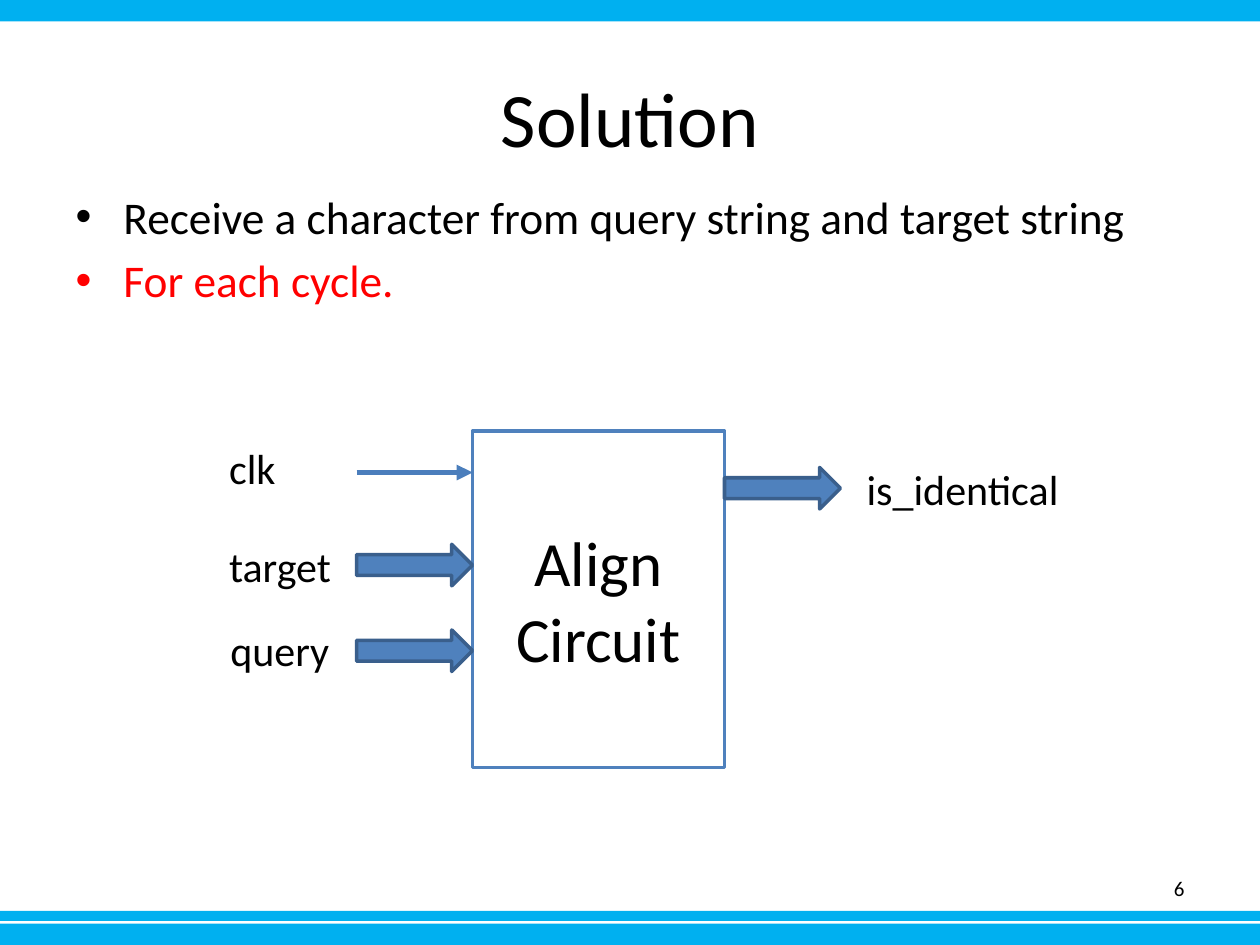
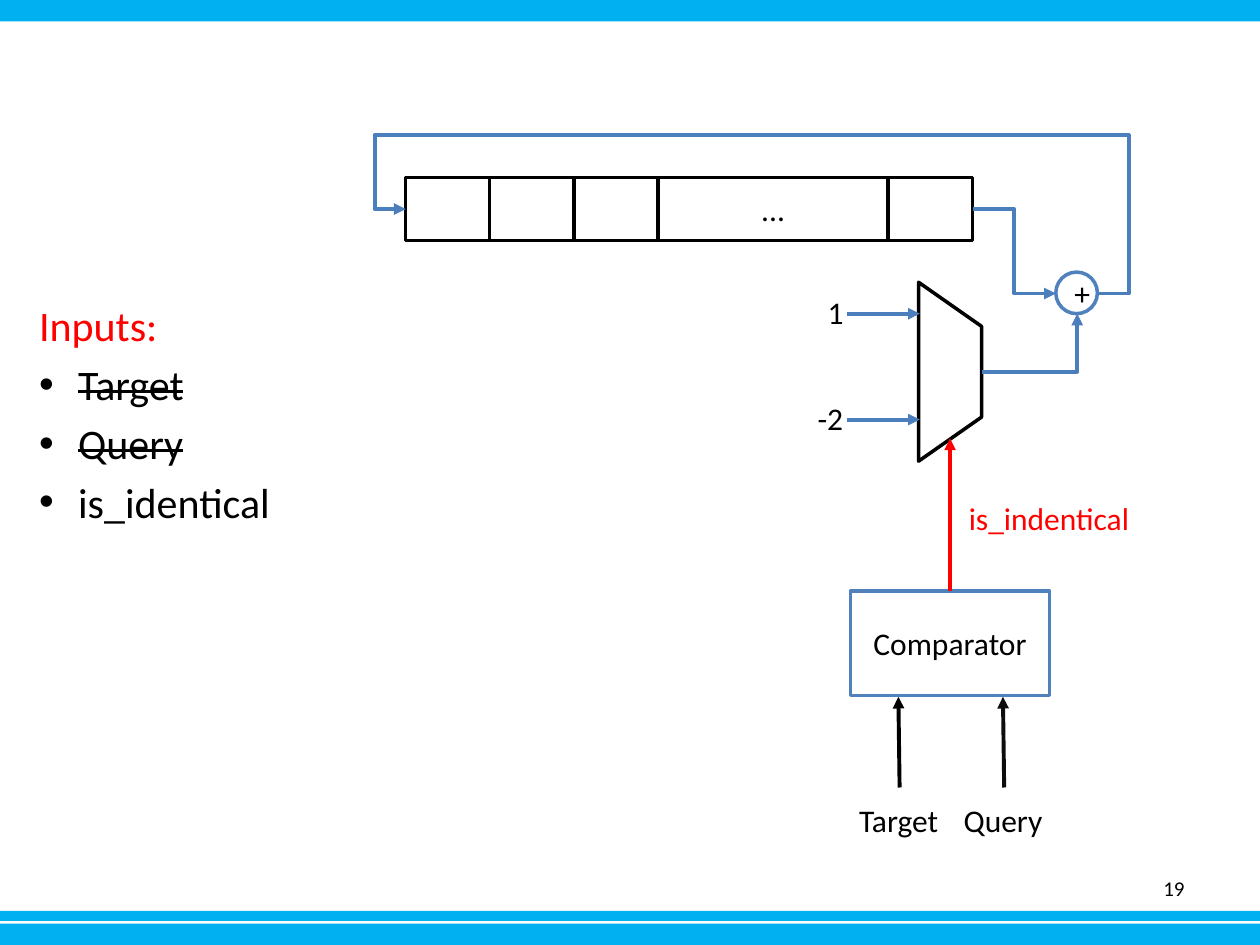
from typing import NamedTuple, Optional

from lxml.etree import SubElement
from pptx import Presentation
from pptx.dml.color import RGBColor
from pptx.enum.shapes import MSO_CONNECTOR, MSO_SHAPE
from pptx.enum.text import MSO_ANCHOR, MSO_AUTO_SIZE, PP_ALIGN
from pptx.oxml.ns import qn
from pptx.util import Inches, Pt

FONT = "Calibri"
BLACK = RGBColor(0x00, 0x00, 0x00)
NEAR_BLACK = RGBColor(0x0D, 0x0D, 0x0D)
WHITE = RGBColor(0xFF, 0xFF, 0xFF)
RED = RGBColor(0xFF, 0x00, 0x00)
BAND_BLUE = RGBColor(0x00, 0xB0, 0xF0)
BLUE = RGBColor(0x4F, 0x81, 0xBD)
ARROW_EDGE = RGBColor(0x3A, 0x5F, 0x8C)
WIRE_BLUE = RGBColor(0x4B, 0x7E, 0xBC)


class Box(NamedTuple):
    left: float
    top: float
    width: float
    height: float


class Label(NamedTuple):
    text: str
    box: Box
    color: RGBColor = BLACK


class Wire(NamedTuple):
    start: tuple[float, float]
    end: tuple[float, float]
    color: RGBColor = WIRE_BLUE
    width: float = 2.25
    preset: Optional[str] = None
    bends: tuple[float, ...] = ()


class Item(NamedTuple):
    text: str
    color: RGBColor = BLACK
    bullet: bool = True
    struck: bool = False


BANDS = [Box(0, 7.33, 10, 0.17), Box(0, 7.23, 10, 0.08), Box(0, 0, 10, 0.17)]


def format_text(paragraph, size: float, color: RGBColor) -> None:
    for run in paragraph.runs:
        run.font.name = FONT
        run.font.size = Pt(size)
        run.font.color.rgb = color


def place(shape, box: Box) -> None:
    shape.left, shape.top, shape.width, shape.height = map(Inches, box)


def add_block(slide, preset, box: Box, fill: RGBColor, line: Optional[RGBColor],
              text: str = "", size: float = 18):
    block = slide.shapes.add_shape(preset, *map(Inches, box))
    block.shadow.inherit = False
    block.fill.solid()
    block.fill.fore_color.rgb = fill
    if line is None:
        block.line.fill.background()
    else:
        block.line.color.rgb = line
        block.line.width = Pt(2)
    if text:
        paragraph = block.text_frame.paragraphs[0]
        paragraph.text = text
        paragraph.alignment = PP_ALIGN.CENTER
        block.text_frame.vertical_anchor = MSO_ANCHOR.MIDDLE
        format_text(paragraph, size, BLACK)
    return block


def add_label(slide, label: Label, size: float) -> None:
    frame = slide.shapes.add_textbox(*map(Inches, label.box)).text_frame
    frame.word_wrap = False
    frame.auto_size = MSO_AUTO_SIZE.SHAPE_TO_FIT_TEXT
    frame.text = label.text
    format_text(frame.paragraphs[0], size, label.color)


def add_wire(slide, wire: Wire):
    kind = MSO_CONNECTOR.ELBOW if wire.preset else MSO_CONNECTOR.STRAIGHT
    connector = slide.shapes.add_connector(kind, *map(Inches, wire.start + wire.end))
    connector.line.color.rgb = wire.color
    connector.line.width = Pt(wire.width)
    properties = connector._element.spPr
    SubElement(properties.find(qn("a:ln")), qn("a:tailEnd"), type="triangle")
    SubElement(properties, qn("a:effectLst"))
    if wire.preset:
        geometry = properties.find(qn("a:prstGeom"))
        geometry.set("prst", wire.preset)
        guides = geometry.find(qn("a:avLst"))
        for number, bend in enumerate(wire.bends, 1):
            SubElement(guides, qn("a:gd"), name=f"adj{number}",
                       fmla=f"val {round(bend * 100000)}")
    return connector


def fill_list(body, box: Box, items: list[Item], size: float, level: int,
              margin: float, hanging: float) -> None:
    place(body, box)
    frame = body.text_frame
    frame.text = "\n".join(item.text for item in items)
    frame.auto_size = MSO_AUTO_SIZE.NONE
    for paragraph, item in zip(frame.paragraphs, items):
        paragraph.level = level
        format_text(paragraph, size, item.color)
        properties = paragraph._p.get_or_add_pPr()
        indent = hanging if item.bullet else 0
        properties.set("marL", str(Inches(margin if item.bullet else margin - hanging)))
        properties.set("indent", str(-Inches(indent)))
        if item.bullet:
            SubElement(properties, qn("a:buFont"), typeface="Arial")
            SubElement(properties, qn("a:buChar"), char="•")
        else:
            SubElement(properties, qn("a:buNone"))
        if item.struck:
            for run in paragraph.runs:
                run.font._element.set("strike", "sngStrike")


def add_page_number(slide, number: int) -> None:
    frame = slide.shapes.add_textbox(*map(Inches, (7.17, 6.85, 2.33, 0.4))).text_frame
    frame.word_wrap = True
    frame.vertical_anchor = MSO_ANCHOR.MIDDLE
    frame.text = str(number)
    frame.paragraphs[0].alignment = PP_ALIGN.RIGHT
    format_text(frame.paragraphs[0], 12, BLACK)


def move_bands_to_master(deck, slide) -> None:
    for shape_id, box in enumerate(BANDS, 20):
        band = add_block(slide, MSO_SHAPE.RECTANGLE, box, BAND_BLUE, None)
        band._element.nvSpPr.cNvPr.set("id", str(shape_id))
        deck.slide_master.shapes._spTree.append(band._element)


def build_solution(slide) -> None:
    title = slide.shapes.title
    place(title, Box(0.5, 0.3, 9, 1.25))
    title.text_frame.text = "Solution"
    title.text_frame.vertical_anchor = MSO_ANCHOR.MIDDLE
    title.text_frame.paragraphs[0].alignment = PP_ALIGN.CENTER
    format_text(title.text_frame.paragraphs[0], 44, BLACK)
    fill_list(slide.placeholders[1], Box(0.5, 1.45, 9, 1.25), [
        Item("Receive a character from query string and target string"),
        Item("For each cycle.", RED),
    ], size=25.9, level=0, margin=0.38, hanging=0.38)
    add_page_number(slide, 6)

    # Circuit with its ports
    add_block(slide, MSO_SHAPE.RECTANGLE, Box(3.75, 3.42, 2, 2.67), WHITE, BLUE,
              "Align Circuit", 36)
    for left, top in [(2.83, 4.32), (2.83, 5), (5.75, 3.71)]:
        add_block(slide, MSO_SHAPE.RIGHT_ARROW, Box(left, top, 0.92, 0.33),
                  BLUE, ARROW_EDGE)
    for port in [
        Label("clk", Box(1.72, 3.46, 0.57, 0.5)),
        Label("target", Box(1.72, 4.24, 1.02, 0.5)),
        Label("query", Box(1.73, 4.91, 1, 0.5)),
        Label("is_identical", Box(6.78, 3.63, 1.74, 0.5)),
    ]:
        add_label(slide, port, 24)
    add_wire(slide, Wire((2.83, 3.75), (3.75, 3.75), width=3))


def build_datapath(slide) -> None:
    title = slide.shapes.title._element
    title.getparent().remove(title)
    fill_list(slide.placeholders[1], Box(-0.29, 2.33, 3.62, 3.59), [
        Item("Inputs:", RED, bullet=False),
        Item("Target", struck=True),
        Item("Query", struck=True),
        Item("is_identical"),
    ], size=24, level=1, margin=0.81, hanging=0.31)
    add_page_number(slide, 19)

    # Shift register, cells side by side
    left = 3.22
    for width, text in [(0.67, ""), (0.67, ""), (0.67, ""), (1.83, "..."), (0.67, "")]:
        add_block(slide, MSO_SHAPE.RECTANGLE, Box(left, 1.41, width, 0.5),
                  WHITE, BLACK, text)
        left += width - 0.003

    # Multiplexer, comparator and adder
    multiplexer = add_block(slide, MSO_SHAPE.TRAPEZOID, Box(6.83, 2.7, 1.42, 0.5),
                            WHITE, BLACK)
    multiplexer.rotation = 90
    multiplexer.adjustments[0] = 0.7
    comparator = add_block(slide, MSO_SHAPE.RECTANGLE, Box(6.75, 4.69, 1.58, 0.83),
                           WHITE, BLUE, "Comparator")
    add_block(slide, MSO_SHAPE.OVAL, Box(8.38, 2.16, 0.33, 0.33), WHITE, BLUE, "+")

    # Wires
    select = add_wire(slide, Wire((7.54, 4.69), (7.54, 3.48), RED))
    select.begin_connect(comparator, 0)
    for wire in [
        Wire((6.72, 2.49), (7.3, 2.49)),
        Wire((6.72, 3.33), (7.3, 3.33)),
        Wire((7.14, 6.25), (7.13, 5.53), BLACK),
        Wire((7.97, 6.25), (7.96, 5.53), NEAR_BLACK),
        Wire((7.79, 2.95), (8.55, 2.49), preset="bentConnector2"),
        Wire((7.72, 1.66), (8.38, 2.33), preset="bentConnector3", bends=(0.5,)),
        Wire((8.71, 2.33), (3.22, 1.66), preset="bentConnector5",
             bends=(-0.045, 1.875, 1.045)),
    ]:
        add_wire(slide, wire)

    for signal in [
        Label("1", Box(6.47, 2.28, 0.33, 0.4)),
        Label("-2", Box(6.39, 3.12, 0.41, 0.4)),
        Label("Target", Box(6.72, 6.31, 0.84, 0.4)),
        Label("Query", Box(7.55, 6.31, 0.83, 0.4)),
        Label("is_indentical", Box(7.59, 3.91, 1.49, 0.4), RED),
    ]:
        add_label(slide, signal, 18)


def main() -> None:
    deck = Presentation()
    deck.slide_width, deck.slide_height = Inches(10), Inches(7.5)
    title_and_content = deck.slide_layouts[1]
    solution = deck.slides.add_slide(title_and_content)
    move_bands_to_master(deck, solution)
    build_solution(solution)
    build_datapath(deck.slides.add_slide(title_and_content))
    deck.save("out.pptx")


if __name__ == "__main__":
    main()
